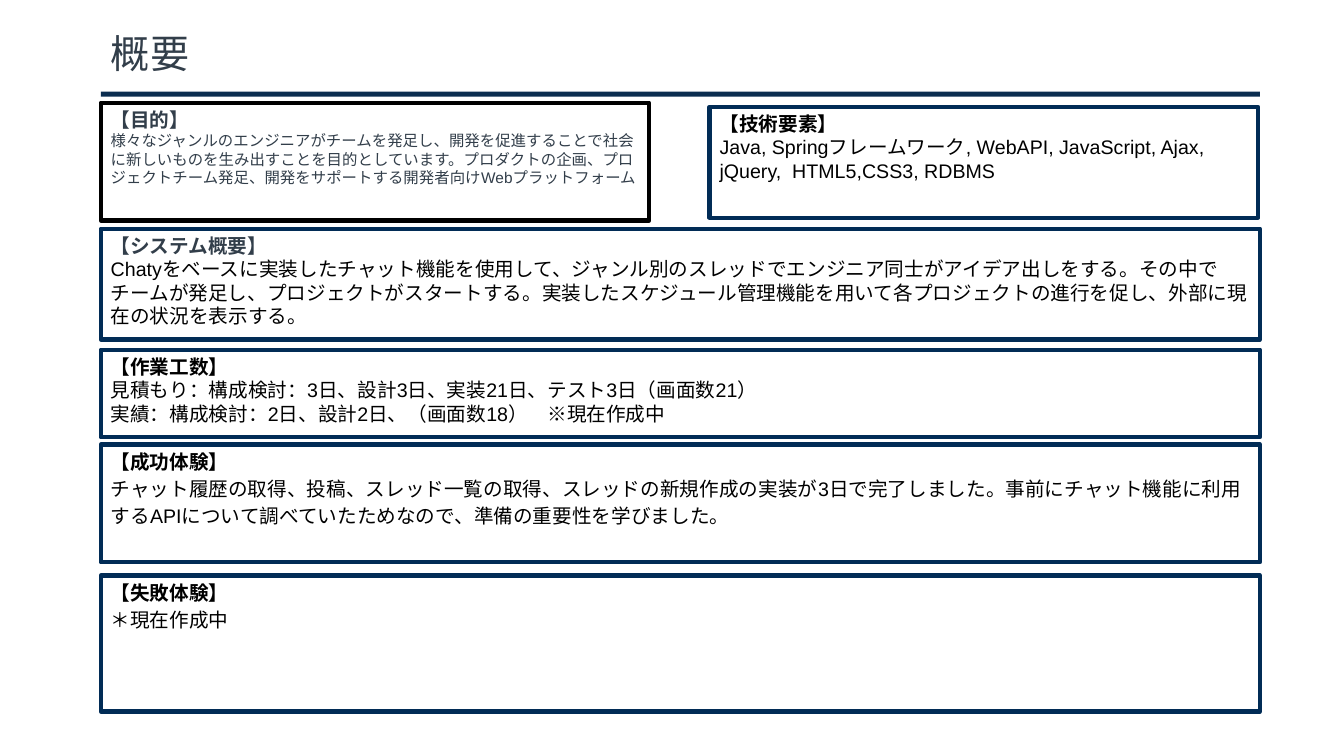
import pptx
import pptx.util
import pptx.dml.color
import pptx.enum.shapes
import pptx.enum.text

Pt = pptx.util.Pt
FONT = "Arial"
COLORS = {"rule": "0B2D50", "navy": "012C56", "black": "000000", "slate": "323E4A"}
LEFT, WIDTH = 72, 828
HALF_WIDTH = 391.7


def rgb(name):
    return pptx.dml.color.RGBColor.from_string(COLORS[name])


def add_text(paragraph, text, size, color, bold=False, spacing=1.0):
    paragraph.alignment = pptx.enum.text.PP_ALIGN.LEFT
    paragraph.line_spacing = spacing
    paragraph.space_before = paragraph.space_after = Pt(0)
    run = paragraph.add_run()
    run.text = text
    run.font.name = FONT
    run.font.size = Pt(size)
    run.font.bold = bold
    run.font.color.rgb = rgb(color)


def set_frame(frame, anchor):
    frame.word_wrap = True
    frame.auto_size = pptx.enum.text.MSO_AUTO_SIZE.NONE
    frame.vertical_anchor = anchor
    frame.margin_left = frame.margin_right = Pt(7.2)
    frame.margin_top = frame.margin_bottom = Pt(3.6)


def add_rectangle(slide, box):
    rectangle = slide.shapes.add_shape(
        pptx.enum.shapes.MSO_SHAPE.RECTANGLE, *(Pt(v) for v in box))
    rectangle.shadow.inherit = False
    return rectangle


def add_header(slide, text, box):
    """Title with a thick rule along the bottom of its box."""
    left, top, width, height = box
    rule = add_rectangle(slide, (left, top + height - 3.6, width, 3.6))
    rule.fill.solid()
    rule.fill.fore_color.rgb = rgb("rule")
    rule.line.fill.background()

    title = slide.shapes.title
    title.left, title.top, title.width, title.height = (Pt(v) for v in box)
    set_frame(title.text_frame, pptx.enum.text.MSO_ANCHOR.MIDDLE)
    add_text(title.text_frame.paragraphs[0], text, 28, "slate", spacing=0.9)


def add_section(slide, box, heading, lines, border="navy", heading_color="black",
                body_color="black", body_size=14, spacing=1.0):
    """Outlined box with a bold heading above its body lines."""
    section = add_rectangle(slide, box)
    section.fill.background()
    section.line.color.rgb = rgb(border)
    section.line.width = Pt(3)
    frame = section.text_frame
    set_frame(frame, pptx.enum.text.MSO_ANCHOR.TOP)
    add_text(frame.paragraphs[0], heading, 14, heading_color, bold=True)
    for line in lines:
        add_text(frame.add_paragraph(), line, body_size, body_color, spacing=spacing)


def build_overview(slide):
    add_header(slide, "概要", (LEFT, 10.8, WIDTH, 58.3))

    # Purpose and technology side by side
    add_section(
        slide, (LEFT, 73.4, HALF_WIDTH, 84.2), "【目的】",
        ["様々なジャンルのエンジニアがチームを発足し、開発を促進することで社会に新しいものを"
         "生み出すことを目的としています。プロダクトの企画、プロジェクトチーム発足、開発を"
         "サポートする開発者向けWebプラットフォーム"],
        border="black", heading_color="slate", body_color="slate", body_size=11)
    add_section(
        slide, (506.9, 76.3, HALF_WIDTH, 79.2), "【技術要素】",
        ["Java, Springフレームワーク, WebAPI, JavaScript, Ajax, "
         "jQuery,  HTML5,CSS3, RDBMS"])

    # Full-width sections
    add_section(
        slide, (LEFT, 163.4, WIDTH, 79.2), "【システム概要】",
        ["Chatyをベースに実装したチャット機能を使用して、ジャンル別のスレッドでエンジニア同士が"
         "アイデア出しをする。その中でチームが発足し、プロジェクトがスタートする。実装した"
         "スケジュール管理機能を用いて各プロジェクトの進行を促し、外部に現在の状況を表示する。"],
        heading_color="slate")
    add_section(
        slide, (LEFT, 249.8, WIDTH, 62.6), "【作業工数】",
        ["見積もり：構成検討：3日、設計3日、実装21日、テスト3日（画面数21）",
         "実績：構成検討：2日、設計2日、（画面数18）　※現在作成中"])
    add_section(
        slide, (LEFT, 317.5, WIDTH, 84.2), "【成功体験】",
        ["チャット履歴の取得、投稿、スレッド一覧の取得、スレッドの新規作成の実装が3日で完了しました。"
         "事前にチャット機能に利用するAPIについて調べていたためなので、準備の重要性を学びました。"],
        spacing=1.15)
    add_section(
        slide, (LEFT, 411.1, WIDTH, 97.2), "【失敗体験】", ["＊現在作成中"],
        spacing=1.15)


def main():
    deck = pptx.Presentation()
    deck.slide_width, deck.slide_height = Pt(960), Pt(540)
    build_overview(deck.slides.add_slide(deck.slide_layouts[5]))
    deck.save("out.pptx")


if __name__ == "__main__":
    main()
